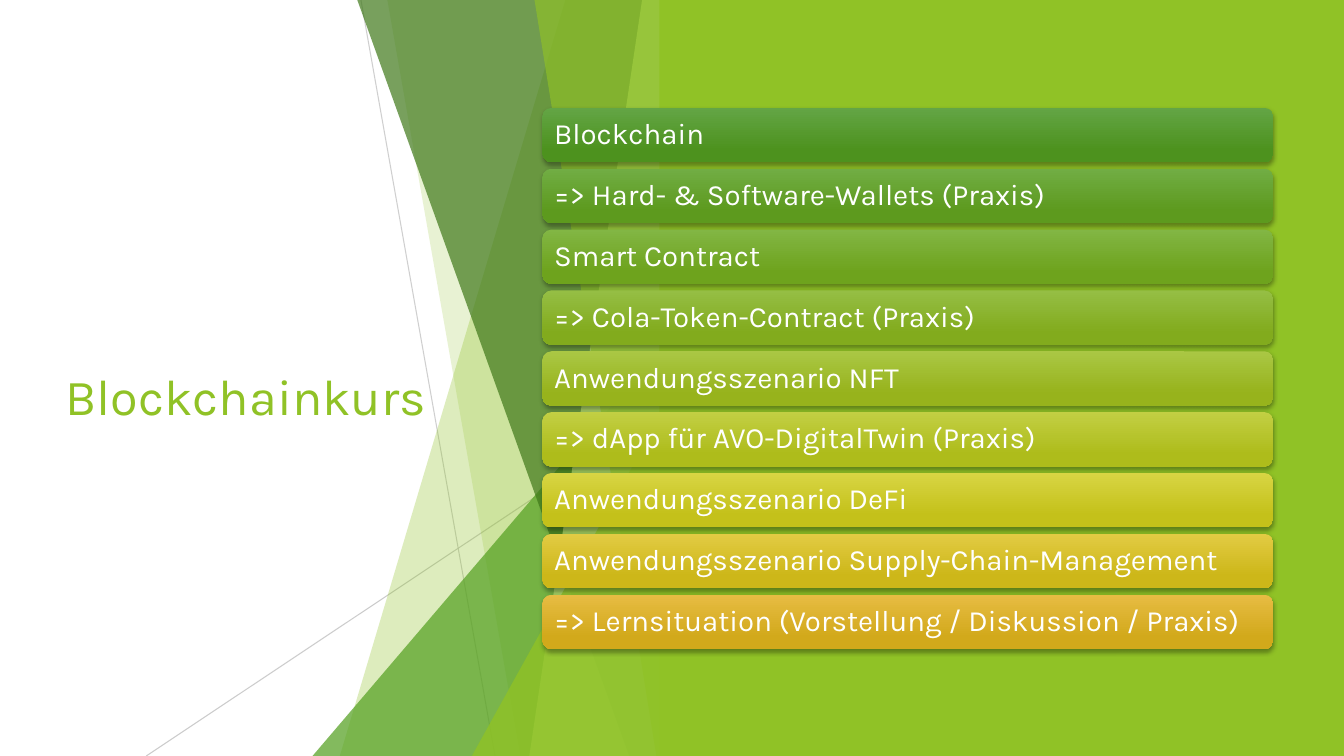
"""Build the course outline slide with its green shards and agenda bars."""
from dataclasses import dataclass

from pptx import Presentation
from pptx.dml.color import RGBColor
from pptx.enum.shapes import MSO_CONNECTOR, MSO_SHAPE
from pptx.enum.text import MSO_ANCHOR, MSO_AUTO_SIZE, PP_ALIGN
from pptx.oxml.ns import qn
from pptx.oxml.xmlchemy import OxmlElement
from pptx.util import Inches, Pt


@dataclass(frozen=True)
class Theme:
    """Colours, font and type sizes of the slide."""
    font: str = "Karla"
    title_size: int = 36
    bar_size: int = 21
    white: str = "FFFFFF"
    black: str = "000000"
    hairline: str = "BFBFBF"
    lime: str = "90C226"
    pale: str = "C0E474"
    green: str = "54A021"
    dark: str = "3F7819"


THEME = Theme()
WIDTH, HEIGHT = 13.33, 7.5
SHARD_TOP, SHARD_RIGHT = -0.01, 6.66
BAR_LEFT, BAR_WIDTH, BAR_HEIGHT = 5.38, 7.25, 0.54
FIRST_BAR, LAST_BAR = 1.07, 5.9

AGENDA = [
    ("Blockchain", "63A545", "4D921E"),
    ("=> Hard- & Software-Wallets (Praxis)", "71AD44", "5D9A1E"),
    ("Smart Contract", "82B644", "6EA31D"),
    ("=> Cola-Token-Contract (Praxis)", "95BE44", "82AB1D"),
    ("Anwendungsszenario NFT", "AAC744", "97B31C"),
    ("=> dApp für AVO-DigitalTwin (Praxis)", "C2CF43", "AEBC1B"),
    ("Anwendungsszenario DeFi", "D8D543", "C4C11A"),
    ("Anwendungsszenario Supply-Chain-Management", "E2CB43", "CDB719"),
    ("=> Lernsituation (Vorstellung / Diskussion / Praxis)", "E7BC43", "D2A91B"),
]


def rgb(colour):
    """Turn a hex string into a colour."""
    return RGBColor.from_string(colour)


def add_alpha(colour_element, percent):
    """Give a colour element an opacity in percent."""
    alpha = OxmlElement("a:alpha")
    alpha.set("val", str(percent * 1000))
    colour_element.append(alpha)


def set_opacity(shape, percent):
    """Make the only colour of a shape or connector translucent."""
    add_alpha(shape._element.spPr.find(".//" + qn("a:srgbClr")), percent)


def paint(shape, colour, opacity=100):
    """Fill a shape flat, without outline or shadow."""
    shape.shadow.inherit = False
    shape.line.fill.background()
    shape.fill.solid()
    shape.fill.fore_color.rgb = rgb(colour)
    if opacity < 100:
        set_opacity(shape, opacity)


def format_text(tf, size, colour):
    """Style the single left-aligned line of a text frame."""
    tf.vertical_anchor = MSO_ANCHOR.MIDDLE
    p = tf.paragraphs[0]
    p.alignment = PP_ALIGN.LEFT
    font = p.runs[0].font
    font.name, font.size, font.color.rgb = THEME.font, Pt(size), rgb(colour)


def add_title(s, text):
    """Place and format the title placeholder."""
    title = s.shapes.title
    title.left, title.top = Inches(0.55), Inches(3.15)
    title.width, title.height = Inches(3.88), Inches(1.55)
    tf = title.text_frame
    tf.text = text
    tf.word_wrap = True
    tf.auto_size = MSO_AUTO_SIZE.NONE
    format_text(tf, THEME.title_size, THEME.lime)


def add_hairline(s, start, end, opacity):
    """Draw a thin grey line between two points."""
    line = s.shapes.add_connector(
        MSO_CONNECTOR.STRAIGHT, *(Inches(v) for v in (*start, *end)))
    line.line.color.rgb = rgb(THEME.hairline)
    line.line.width = Pt(0.75)
    set_opacity(line, opacity)
    line._element.spPr.append(OxmlElement("a:effectLst"))


def add_shard(s, top_x, bottom_x, colour, opacity):
    """Draw a full-height shard with a slanted left edge."""
    points = [(SHARD_RIGHT, SHARD_TOP), (SHARD_RIGHT, HEIGHT), (bottom_x, HEIGHT)]
    builder = s.shapes.build_freeform(Inches(top_x), Inches(SHARD_TOP), scale=1.0)
    builder.add_line_segments([(Inches(x), Inches(y)) for x, y in points], close=True)
    paint(builder.convert_to_shape(), colour, opacity)


def add_corner(s, left, top, colour, opacity):
    """Draw a right triangle rising to the right edge of the shards."""
    corner = s.shapes.add_shape(
        MSO_SHAPE.ISOSCELES_TRIANGLE, Inches(left), Inches(top),
        Inches(SHARD_RIGHT - left), Inches(HEIGHT - top))
    corner.adjustments[0] = 1
    paint(corner, colour, opacity)


def add_panel(s, left):
    """Fill the slide from a left edge to its right side."""
    panel = s.shapes.add_shape(
        MSO_SHAPE.RECTANGLE, Inches(left), 0, Inches(WIDTH - left), Inches(HEIGHT))
    paint(panel, THEME.lime)


def add_shadow(shape):
    """Add a soft shadow straight below a shape."""
    shape.shadow.inherit = False
    shadow = OxmlElement("a:outerShdw")
    for name, value in (("blurRad", Pt(3)), ("dist", Pt(2)), ("dir", 90 * 60000)):
        shadow.set(name, str(int(value)))
    shadow.set("rotWithShape", "0")
    colour = OxmlElement("a:srgbClr")
    colour.set("val", THEME.black)
    add_alpha(colour, 35)
    shadow.append(colour)
    shape._element.spPr.find(qn("a:effectLst")).append(shadow)


def add_bar(s, top, text, light, deep):
    """Add one rounded agenda bar with a vertical gradient."""
    bar = s.shapes.add_shape(
        MSO_SHAPE.ROUNDED_RECTANGLE, Inches(BAR_LEFT), Inches(top),
        Inches(BAR_WIDTH), Inches(BAR_HEIGHT))
    bar.line.fill.background()
    bar.fill.gradient()
    bar.fill.gradient_angle = 270
    for stop, colour, position in zip(bar.fill.gradient_stops, (light, deep), (0, 0.78)):
        stop.color.rgb, stop.position = rgb(colour), position
    add_shadow(bar)
    tf = bar.text_frame
    tf.text = text
    tf.word_wrap = True
    tf.margin_left = tf.margin_right = tf.margin_top = tf.margin_bottom = Inches(0.09)
    tf.paragraphs[0].line_spacing = 0.9
    format_text(tf, THEME.bar_size, THEME.white)


def add_backdrop(s):
    """Layer the lines, shards and green panel from back to front."""
    add_hairline(s, (3.58, 0), (4.91, HEIGHT), 75)
    add_hairline(s, (SHARD_RIGHT, 4.03), (1.45, HEIGHT), 80)
    add_shard(s, 5.61, 3.37, THEME.lime, 30)
    add_shard(s, 3.84, 5.16, THEME.lime, 20)
    add_corner(s, 3.1, 3.33, THEME.green, 72)
    add_shard(s, 3.54, 6.24, THEME.dark, 70)
    add_shard(s, 6.37, 5.25, THEME.pale, 70)
    add_shard(s, 5.3, 6.51, THEME.lime, 65)
    add_corner(s, 4.68, 3.93, THEME.lime, 80)
    add_panel(s, 6.54)


def main():
    """Build and save the slide."""
    prs = Presentation()
    prs.slide_width, prs.slide_height = Inches(WIDTH), Inches(HEIGHT)
    s = prs.slides.add_slide(prs.slide_layouts.get_by_name("Title Only"))
    add_title(s, "Blockchainkurs")
    add_backdrop(s)
    pitch = (LAST_BAR - FIRST_BAR) / (len(AGENDA) - 1)
    for i, (text, light, deep) in enumerate(AGENDA):
        add_bar(s, FIRST_BAR + i * pitch, text, light, deep)
    prs.save("out.pptx")


if __name__ == "__main__":
    main()
